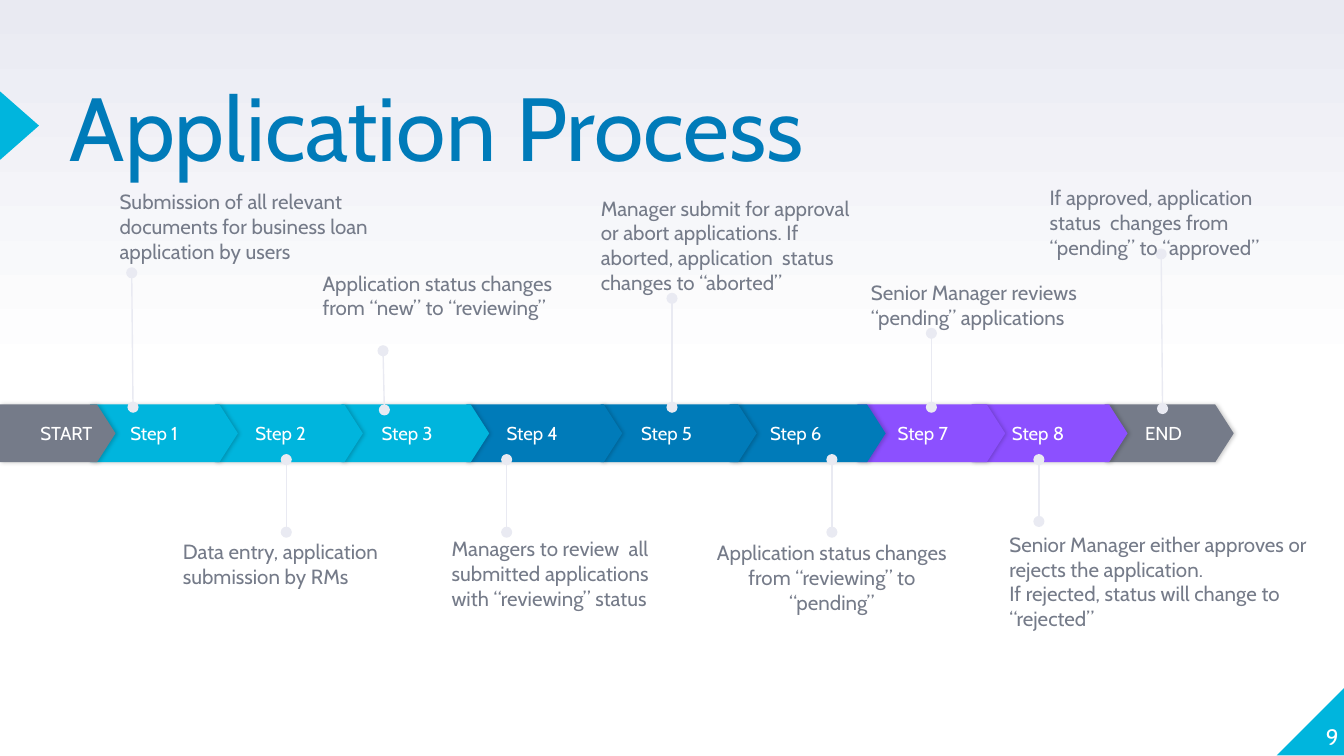
from copy import deepcopy

from lxml import etree
from pptx import Presentation
from pptx.dml.color import RGBColor
from pptx.enum.shapes import MSO_CONNECTOR, MSO_SHAPE
from pptx.enum.text import MSO_ANCHOR as ANCHOR, MSO_AUTO_SIZE, PP_ALIGN as ALIGN
from pptx.oxml.ns import qn
from pptx.util import Inches, Pt

THEME = {
    "font": "Cabin",
    "white": "FFFFFF", "pale": "E9EAF2", "grey": "757B89",
    "cyan": "00B5DD", "blue": "007BB9", "purple": "8C50FF",
    "title": 48, "number": 12, "note": 11, "step": 10,
}

# Content: label, left, width, colour of each step
STEPS = [
    ("START", 0, 0.86, "grey"),
    ("Step 1", 0.67, 1.1, "cyan"),
    ("Step 2", 1.6, 1.1, "cyan"),
    ("Step 3", 2.54, 1.1, "cyan"),
    ("Step 4", 3.47, 1.16, "blue"),
    ("Step 5", 4.47, 1.16, "blue"),
    ("Step 6", 5.43, 1.16, "blue"),
    ("Step 7", 6.38, 1.1, "purple"),
    ("Step 8", 7.23, 1.16, "purple"),
    ("END", 8.22, 0.96, "grey"),
]
BAND_TOP, BAND_HEIGHT = 3.01, 0.43

# Content: paragraphs, text box, pin start, pin end, alignment
NOTES_ABOVE = [
    (["Submission of all relevant documents for business loan application by users"],
     (0.89, 1.4, 1.96, 0.56), (0.99, 3.03), (0.98, 2.03), ALIGN.LEFT),
    (["Application status changes from “new” to “reviewing”"],
     (2.4, 2.01, 1.96, 0.37), (2.86, 3.05), (2.85, 2.61), ALIGN.LEFT),
    (["Manager submit for approval or abort applications. If aborted, "
      "application  status changes to “aborted”"],
     (4.47, 1.45, 2.02, 0.74), (5, 3.03), (5, 2.22), ALIGN.LEFT),
    (["Senior Manager reviews “pending” applications"],
     (6.48, 1.87, 1.69, 0.58), (6.93, 3.03), (6.93, 2.48), ALIGN.LEFT),
    (["If approved, application status  changes from “pending” to “approved”"],
     (7.81, 1.37, 1.82, 0.56), (8.65, 3.04), (8.64, 1.89), ALIGN.LEFT),
]
NOTES_BELOW = [
    (["Data entry, application submission by RMs"],
     (1.36, 4.01, 1.88, 0.37), (2.13, 3.96), (2.13, 3.42), ALIGN.LEFT),
    (["Managers to review  all submitted applications with “reviewing” status"],
     (3.36, 3.99, 1.62, 0.56), (3.77, 3.96), (3.77, 3.42), ALIGN.LEFT),
    (["Application status changes from “reviewing” to “pending”"],
     (5.25, 4.02, 1.88, 0.56), (6.19, 3.96), (6.19, 3.42), ALIGN.CENTER),
    (["Senior Manager either approves or rejects the application.",
      "If rejected, status will change to “rejected”"],
     (7.51, 3.96, 2.49, 0.74), (7.73, 3.88), (7.73, 3.42), ALIGN.LEFT),
]


def rgb(name):
    return RGBColor.from_string(THEME[name])


def write(sp, paragraphs, size, color, anchor=ANCHOR.TOP, align=ALIGN.LEFT, indent=0):
    tf = sp.text_frame
    frame = {"word_wrap": True, "auto_size": MSO_AUTO_SIZE.NONE, "vertical_anchor": anchor,
             "margin_left": Inches(indent), "margin_top": 0, "margin_right": 0, "margin_bottom": 0}
    for key, value in frame.items():
        setattr(tf, key, value)
    for i, text in enumerate(paragraphs):
        p = tf.add_paragraph() if i else tf.paragraphs[0]
        p.alignment = align
        r = p.add_run()
        r.text = text
        r.font.name, r.font.size = THEME["font"], Pt(THEME[size])
        r.font.color.rgb = rgb(color)


def add_text(s, box, *args, **kwargs):
    write(s.shapes.add_textbox(*map(Inches, box)), *args, **kwargs)


def add_block(s, kind, box, color):
    sp = s.shapes.add_shape(kind, *map(Inches, box))
    sp.shadow.inherit = False
    sp.fill.solid()
    sp.fill.fore_color.rgb = rgb(color)
    sp.line.fill.background()
    return sp


def add_soft_shadow(sp):
    effects = sp.element.spPr.find(qn("a:effectLst"))
    shadow = etree.SubElement(effects, qn("a:outerShdw"), blurRad=str(Pt(2.2)),
                              dist=str(Pt(0.8)), dir="0", algn="ctr", rotWithShape="0")
    color = etree.SubElement(shadow, qn("a:srgbClr"), val="000000")
    etree.SubElement(color, qn("a:alpha"), val="20000")


def add_pin(s, start, end):
    pin = s.shapes.add_connector(MSO_CONNECTOR.STRAIGHT, *map(Inches, start + end))
    pin.line.color.rgb = rgb("pale")
    pin.line.width = Pt(0.75)
    ln = pin.element.spPr.find(qn("a:ln"))
    for tag in ("a:headEnd", "a:tailEnd"):
        etree.SubElement(ln, qn(tag), type="oval")
    etree.SubElement(pin.element.spPr, qn("a:effectLst"))


def paint_background(s):
    fill = s.background.fill
    fill.gradient()
    fill.gradient_angle = 90
    for stop, color in zip(fill.gradient_stops, ("white", "pale")):
        stop.color.rgb = rgb(color)
    stops = s.element.find(".//" + qn("a:gsLst"))
    stops.insert(1, deepcopy(stops[0]))
    for stop, position in zip(stops, (0, 50000, 100000)):
        stop.set("pos", str(position))


def main():
    prs = Presentation()
    prs.slide_width, prs.slide_height = Inches(10), Inches(10 * 9 / 16)
    s = prs.slides.add_slide(prs.slide_layouts[5])
    paint_background(s)

    # Title, corner and side marker
    corner = add_block(s, MSO_SHAPE.RIGHT_TRIANGLE, (9.5, 5.11, 0.51, 0.51), "cyan")
    corner.element.spPr.xfrm.set("flipH", "1")
    marker = add_block(s, MSO_SHAPE.ISOSCELES_TRIANGLE, (-0.11, 0.79, 0.51, 0.29), "cyan")
    marker.rotation = 90
    title = s.shapes.title
    title.left, title.top, title.width, title.height = map(Inches, (0.52, 0.69, 6.17, 1.18))
    write(title, ["Application Process"], "title", "blue")
    title.text_frame.paragraphs[0].line_spacing = 0.8
    add_text(s, (9.46, 5.07, 0.5, 0.51), ["9"], "number", "white", ANCHOR.BOTTOM, ALIGN.RIGHT)

    # Step band, each step overlapping the next
    for label, left, width, color in reversed(STEPS):
        sp = add_block(s, MSO_SHAPE.PENTAGON, (left, BAND_TOP, width, BAND_HEIGHT), color)
        sp.adjustments[0] = 0.32
        add_soft_shadow(sp)
        write(sp, [label], "step", "white", ANCHOR.MIDDLE, indent=0.3)

    # Notes with pins
    for notes, anchor in ((NOTES_ABOVE, ANCHOR.BOTTOM), (NOTES_BELOW, ANCHOR.TOP)):
        for paragraphs, box, start, end, align in notes:
            add_pin(s, start, end)
            add_text(s, box, paragraphs, "note", "grey", anchor, align)

    prs.save("out.pptx")


if __name__ == "__main__":
    main()
